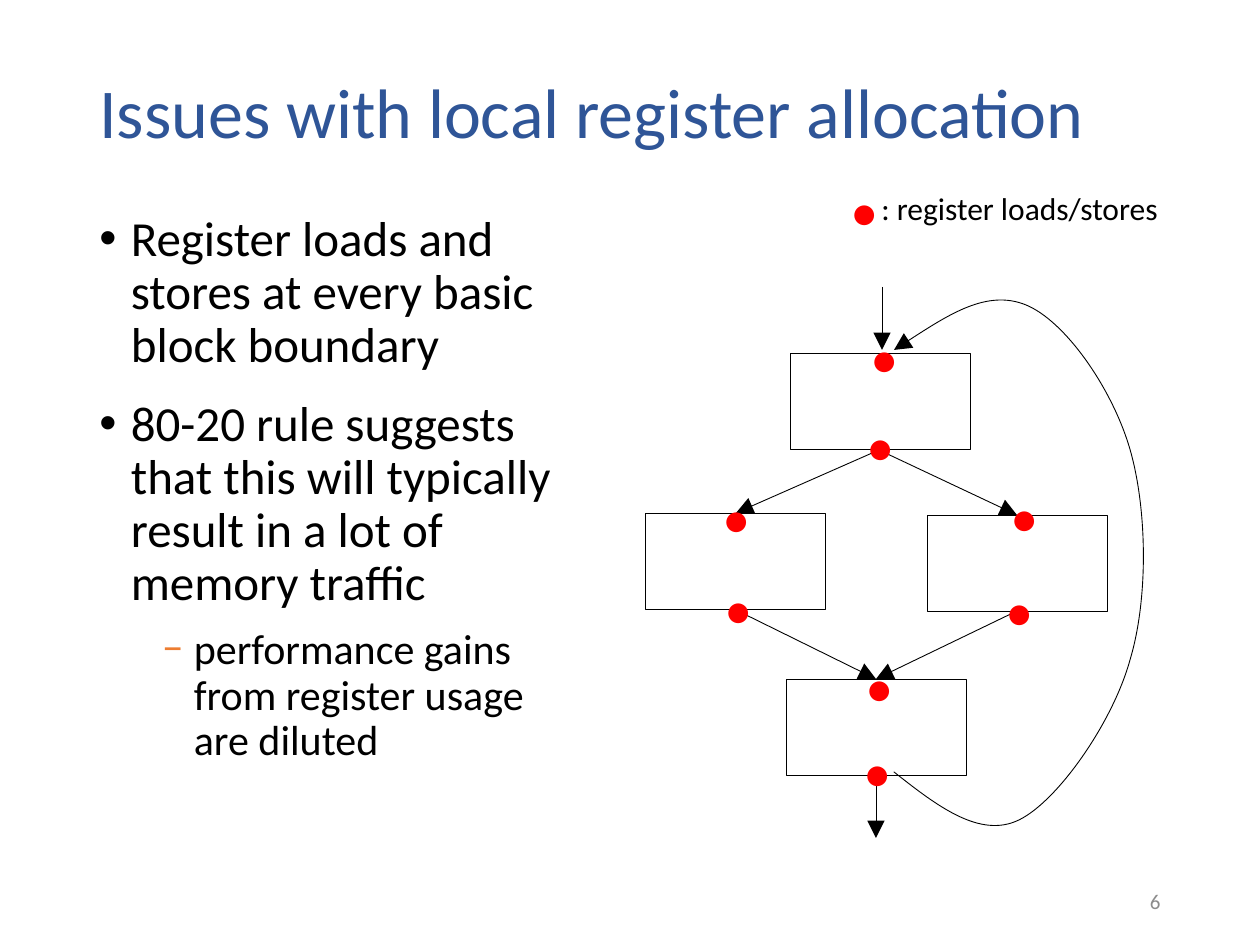
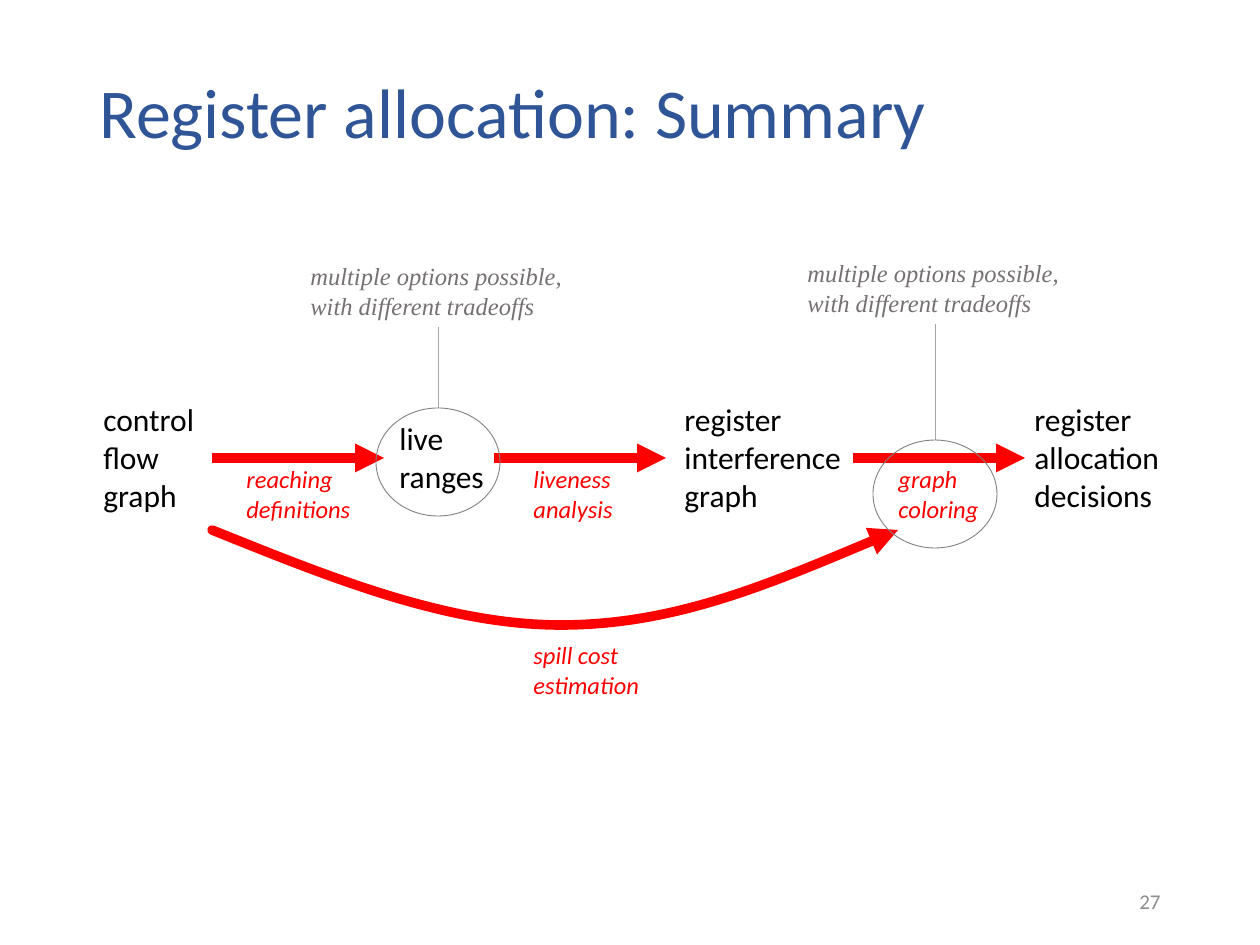
from lxml import etree
from pptx import Presentation
from pptx.dml.color import RGBColor
from pptx.enum.shapes import MSO_CONNECTOR, MSO_SHAPE
from pptx.enum.text import MSO_ANCHOR, MSO_AUTO_SIZE, PP_ALIGN
from pptx.oxml.ns import qn
from pptx.util import Pt

RECT, ELLIPSE, STRAIGHT = MSO_SHAPE.RECTANGLE, MSO_SHAPE.OVAL, MSO_CONNECTOR.STRAIGHT
TOP, MIDDLE = MSO_ANCHOR.TOP, MSO_ANCHOR.MIDDLE
LEFT, RIGHT = PP_ALIGN.LEFT, PP_ALIGN.RIGHT
FIT, FIXED = MSO_AUTO_SIZE.SHAPE_TO_FIT_TEXT, MSO_AUTO_SIZE.NONE
SCALE = 914400 / 126
SANS, SERIF = "Calibri", "Times New Roman"
BLUE, BLACK, RED, ORANGE = "2F5597", "000000", "FF0000", "ED7D31"
NUMBER_GRAY, NOTE_GRAY, LINK_GRAY, RING_GRAY = "8C8C8C", "767171", "A6A6A6", "808080"
THIN, THICK = 0.5, 5.5


def px(n):
    """Turn pixels into EMU."""
    return round(n * SCALE)


def rgb(value):
    """Turn a hex string into a colour."""
    return RGBColor.from_string(value)


def add_xml(parent, tag, **attrs):
    """Append a DrawingML element to a parent."""
    return etree.SubElement(parent, qn(tag), attrs)


def bezier(a, b, c, d, t):
    """Return the point at t on a cubic curve."""
    u = 1 - t
    return tuple(u**3 * i + 3 * u * u * t * j + 3 * u * t * t * k + t**3 * m
                 for i, j, k, m in zip(a, b, c, d))


class Deck:
    """Shared style and the slide being drawn."""

    def __init__(self):
        """Open an empty 4:3 presentation."""
        self.prs = Presentation()
        self.prs.slide_width, self.prs.slide_height = px(1260), px(945)

    def new_slide(self, title, number):
        """Start a slide with its title and number."""
        self.slide = self.prs.slides.add_slide(self.prs.slide_layouts[6])
        tf = self.text(title, (87, 50, 1086, 132), 40, BLUE, wrap=True, anchor=MIDDLE)
        tf.paragraphs[0].line_spacing = 0.9
        self.text(str(number), (890, 876, 283, 50), 12, NUMBER_GRAY,
                  wrap=True, anchor=MIDDLE, align=RIGHT)

    def style(self, p, size, color, font=SANS, italic=False):
        """Set the font of a paragraph."""
        p.font.size, p.font.name, p.font.italic = Pt(size), font, italic
        p.font.color.rgb = rgb(color)

    def text(self, text, box, size, color, font=SANS, italic=False,
             wrap=False, anchor=TOP, align=LEFT):
        """Add a text box with one paragraph per line."""
        tf = self.slide.shapes.add_textbox(*map(px, box)).text_frame
        tf.word_wrap, tf.vertical_anchor = wrap, anchor
        tf.auto_size = FIXED if wrap else FIT
        tf.text = text
        for p in tf.paragraphs:
            p.alignment = align
            self.style(p, size, color, font, italic)
        return tf

    def bullets(self, items, box):
        """Add a bulleted list of (level, text) items."""
        tf = self.slide.shapes.add_textbox(*map(px, box)).text_frame
        tf.word_wrap = True
        for i, (level, text) in enumerate(items):
            p = tf.add_paragraph() if i else tf.paragraphs[0]
            p.text, p.level, p.line_spacing = text, level, 0.9
            p.space_before, p.space_after = Pt(5 if level else 10), Pt(5)
            pPr = p._p.get_or_add_pPr()
            pPr.set("marL", str(px(94.5 if level else 31.5)))
            pPr.set("indent", str(px(-31.5)))
            if level:
                add_xml(add_xml(pPr, "a:buClr"), "a:srgbClr", val=ORANGE)
            add_xml(pPr, "a:buFont", typeface=SANS if level else "Arial")
            add_xml(pPr, "a:buChar", char="\u2212" if level else "\u2022")
            self.style(p, 24 if level else 28, BLACK)

    def outline(self, kind, box, color):
        """Add an unfilled preset shape with a thin line."""
        sp = self.slide.shapes.add_shape(kind, *map(px, box))
        sp.shadow.inherit = False
        sp.fill.background()
        self.stroke(sp, color, THIN)

    def stroke(self, sp, color, width, arrow=False):
        """Set a line's colour and width, with an arrowhead if asked."""
        sp.line.color.rgb, sp.line.width = rgb(color), Pt(width)
        if arrow:
            size = "lg" if width == THIN else "med"
            add_xml(sp.line._get_or_add_ln(), "a:tailEnd", type="triangle", w=size, len=size)

    def line(self, start, end, color, width=THIN, arrow=True):
        """Add a straight line or arrow."""
        sp = self.slide.shapes.add_connector(STRAIGHT, *map(px, start + end))
        self.stroke(sp, color, width, arrow)
        add_xml(sp._element.spPr, "a:effectLst")

    def curve(self, points, color, width):
        """Add a curved arrow; after the start, each three points make a cubic."""
        pts = [(px(x), px(y)) for x, y in points]
        cubics = [pts[i:i + 4] for i in range(0, len(pts) - 1, 3)]
        samples = [bezier(*cubic, n / 20) for cubic in cubics for n in range(1, 21)]
        builder = self.slide.shapes.build_freeform(*pts[0])
        builder.add_line_segments(samples, close=False)
        sp = builder.convert_to_shape()
        outline = next(sp._element.iter(qn("a:path")))
        for segment in outline[1:]:
            outline.remove(segment)
        for cubic in cubics:
            bez = add_xml(outline, "a:cubicBezTo")
            for x, y in cubic[1:]:
                add_xml(bez, "a:pt", x=str(x - sp.left), y=str(y - sp.top))
        sp.shadow.inherit = False
        sp.fill.background()
        self.stroke(sp, color, width, arrow=True)
        sp.line._get_or_add_ln().set("cap", "rnd")

    def dot(self, x, y):
        """Add a red dot that marks loads and stores."""
        self.text("\u2022", (x, y, 52, 81), 32, RED)


def local_allocation(deck):
    """Draw the flow graph with loads and stores at block borders."""
    deck.new_slide("Issues with local register allocation", 6)
    for x, y in [(790, 353), (645, 513), (927, 515), (786, 679)]:
        deck.outline(RECT, (x, y, 180, 97), BLACK)
    fork, left_in, right_in = (879, 450), (736, 513), (1017, 515)
    left_out, right_out, join = (736, 610), (1017, 611), (876, 679)
    for start, end in [((882, 287), (882, 350)), (fork, left_in), (fork, right_in),
                       (left_out, join), (right_out, join), ((876, 775), (876, 838))]:
        deck.line(start, end, BLACK)
    deck.curve([(894, 772), (937, 806), (980, 839), (1019, 820),
                (1058, 801), (1113, 722), (1130, 660),
                (1149, 597), (1147, 505), (1129, 446),
                (1111, 387), (1065, 321), (1026, 305),
                (987, 289), (940, 320), (894, 350)], BLACK, THIN)
    deck.bullets([(0, "Register loads and stores at every basic block boundary"),
                  (0, "80-20 rule suggests that this will typically result in a lot of "
                      "memory traffic"),
                  (1, "performance gains from register usage are diluted")],
                 (87, 208, 512, 644))
    deck.text(": register loads/stores", (869, 183, 305, 50), 18, BLACK)
    for x, y in [(838, 169), (858, 316), (854, 404), (710, 476), (712, 567),
                 (998, 475), (993, 569), (853, 645), (851, 730)]:
        deck.dot(x, y)


def summary(deck):
    """Draw the steps from flow graph to allocation decisions."""
    deck.new_slide("Register allocation: Summary", 27)
    for text, box in [("control\nflow\ngraph", (91, 394, 125, 127)),
                      ("live\nranges", (387, 413, 111, 89)),
                      ("register\ninterference\ngraph", (672, 394, 184, 127)),
                      ("register\nallocation\ndecisions", (1022, 394, 151, 127))]:
        deck.text(text, box, 18, BLACK)
    for x in (212, 494, 853):
        deck.line((x, 458), (x + 172, 458), RED, THICK)
    deck.curve([(212, 530), (329, 577), (446, 625), (561, 625),
                (675, 625), (786, 577), (898, 530)], RED, THICK)
    for text, x, y, w in [("reaching\ndefinitions", 234, 458, 131),
                          ("liveness\nanalysis", 521, 458, 106),
                          ("graph\ncoloring", 886, 458, 106),
                          ("spill cost\nestimation", 521, 634, 132)]:
        deck.text(text, (x, y, w, 72), 14, RED, italic=True)
    for x, note_y, ring_y in [(438, 255, 408), (935, 252, 440)]:
        deck.text("multiple options possible,\nwith different tradeoffs",
                  (x - 140, note_y, 281, 72), 14, NOTE_GRAY, SERIF, italic=True)
        deck.line((x, note_y + 72), (x, ring_y), LINK_GRAY, arrow=False)
        deck.outline(ELLIPSE, (x - 62, ring_y, 124, 108), RING_GRAY)


deck = Deck()
local_allocation(deck)
summary(deck)
deck.prs.save("out.pptx")
